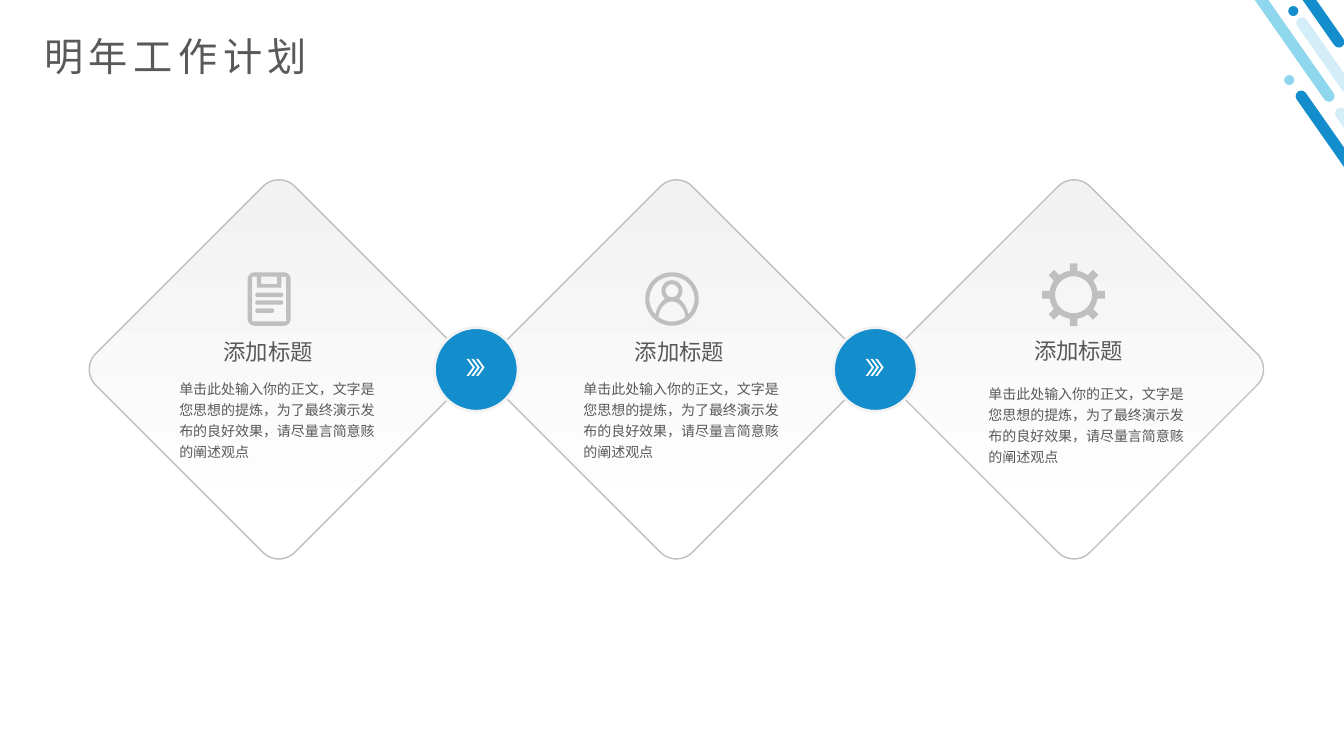
import math
from dataclasses import dataclass

from pptx import Presentation
from pptx import util as u
from pptx.dml import color
from pptx.enum import shapes, text
from pptx.oxml import ns


@dataclass(frozen=True)
class Theme:
    font: str = "Noto Sans CJK SC"
    ink: str = "595959"
    blue: str = "138DCC"
    sky: str = "8FD7ED"
    ice: str = "D3EEF9"
    gray: str = "BFBFBF"
    mist: str = "F2F2F2"
    white: str = "FFFFFF"
    title: int = 28
    heading: int = 16
    body: int = 10


THEME = Theme()
PRESET = shapes.MSO_SHAPE
HEADING = "添加标题"
BODY = "单击此处输入你的正文，文字是您思想的提炼，为了最终演示发布的良好效果，请尽量言简意赅的阐述观点"
UNITS_PER_POINT = 100


def rgb(value):
    return color.RGBColor.from_string(value)


def paint(shape, fill):
    shape.shadow.inherit = False
    shape.fill.solid()
    shape.fill.fore_color.rgb = rgb(fill)
    shape.line.fill.background()


def add_preset(slide, kind, left, top, width, height, fill):
    shape = slide.shapes.add_shape(kind, u.Pt(left), u.Pt(top), u.Pt(width), u.Pt(height))
    paint(shape, fill)
    return shape


def add_stripe(slide, left, top, height, fill):
    stripe = add_preset(slide, PRESET.ROUNDED_RECTANGLE, left, top, 8, height, fill)
    stripe.adjustments[0] = 0.5
    stripe.rotation = 325


def add_diamond(slide, left):
    diamond = add_preset(slide, PRESET.ROUNDED_RECTANGLE, left, 163.4, 200.9, 200.9, THEME.mist)
    diamond.adjustments[0] = 0.08
    diamond.rotation = 45
    diamond.fill.gradient()
    diamond.fill.gradient_angle = 315
    stops = ((0.03, THEME.mist), (0.91, THEME.white))
    for stop, (position, value) in zip(diamond.fill.gradient_stops, stops):
        stop.position = position
        stop.color.rgb = rgb(value)
    diamond.line.color.rgb = rgb(THEME.gray)
    diamond.line.width = u.Pt(1)


def add_text(slide, words, left, top, width, height, size,
             wrap=True, middle=True, line_spacing=None, tracking=0):
    box = slide.shapes.add_textbox(u.Pt(left), u.Pt(top), u.Pt(width), u.Pt(height))
    frame = box.text_frame
    frame.text = words
    frame.word_wrap = wrap
    frame.vertical_anchor = text.MSO_ANCHOR.MIDDLE if middle else text.MSO_ANCHOR.TOP
    paragraph = frame.paragraphs[0]
    if line_spacing:
        paragraph.line_spacing = line_spacing
    run = paragraph.runs[0]
    run.font.size = u.Pt(size)
    run.font.name = THEME.font
    run.font.color.rgb = rgb(THEME.ink)
    properties = run.font._element
    east_asian = properties.makeelement(ns.qn("a:ea"), {"typeface": THEME.font})
    properties.find(ns.qn("a:latin")).addnext(east_asian)
    if tracking:
        properties.set("spc", str(tracking * 100))


def add_outline(slide, left, top, contours, fill):
    scaled = [[(x * UNITS_PER_POINT, y * UNITS_PER_POINT) for x, y in contour]
              for contour in contours]
    builder = slide.shapes.build_freeform(*scaled[0][0], scale=u.Pt(1) / UNITS_PER_POINT)
    builder.add_line_segments(scaled[0][1:], close=True)
    for contour in scaled[1:]:
        builder.move_to(*contour[0])
        builder.add_line_segments(contour[1:], close=True)
    paint(builder.convert_to_shape(u.Pt(left), u.Pt(top)), fill)


def arc(x, y, radius, start=0, end=360):
    steps = max(4, round(abs(end - start) / 6))
    angles = [math.radians(start + (end - start) * i / steps) for i in range(steps + 1)]
    return [(x + radius * math.cos(a), y + radius * math.sin(a)) for a in angles]


def curve(*controls):
    weights = (1, 3, 3, 1)
    return [tuple(sum(w * (1 - t) ** (3 - k) * t ** k * point[axis]
                      for k, (w, point) in enumerate(zip(weights, controls)))
                  for axis in (0, 1))
            for t in (i / 10 for i in range(11))]


def rounded(x, y, width, height, radius):
    right, bottom = x + width - radius, y + height - radius
    return (arc(x + radius, y + radius, radius, 180, 270)
            + arc(right, y + radius, radius, 270, 360)
            + arc(right, bottom, radius, 0, 90)
            + arc(x + radius, bottom, radius, 90, 180))


def clipboard_icon():
    page = [(3.2, 3.2), (6.6, 3.2), (6.6, 11), (24.1, 11),
            (24.1, 3.2), (27.5, 3.2), (27.5, 35), (3.2, 35)]
    clip = [(9.7, 3.2), (21.1, 3.2), (21.1, 8.3), (9.7, 8.3)]
    bars = [rounded(5.5, y, width, 3.2, 1.6)
            for y, width in ((14.5, 20), (20, 20), (25.8, 13.4))]
    return [rounded(0, 0, 30.7, 38.2, 5), page, clip, *bars]


def person_icon():
    middle = 19.1

    def mirror(points):
        return [(2 * middle - x, y) for x, y in reversed(points)]

    shoulder = curve((7.3, 30.1), (7.9, 25.9), (11.5, 20.2), (14.4, 18.8))
    backdrop = (arc(middle, middle, 16.1, 43, -223) + shoulder
                + arc(middle, 13.2, 7.5, 130, 410) + mirror(shoulder))
    side = curve((9.6, 32.1), (9.6, 26.6), (14, 20.9), (middle, 20.9))
    torso = arc(middle, middle, 16.1, 54, 126) + side + mirror(side)
    return [arc(middle, middle, middle), backdrop, torso, arc(middle, 13.2, 4.6)]


def gear_icon():
    center, body, tip, half_tooth = 22.4, 17.3, 22.4, 2.7
    spread = math.degrees(math.asin(half_tooth / body))
    rim = []
    for angle in range(0, 360, 45):
        cosine, sine = math.cos(math.radians(angle)), math.sin(math.radians(angle))
        rim += [(center + tip * cosine - offset * sine, center + tip * sine + offset * cosine)
                for offset in (-half_tooth, half_tooth)]
        rim += arc(center, center, body, angle + spread, angle + 45 - spread)
    return [rim, arc(center, center, 13.2)]


def add_arrow_badge(slide, left):
    badge = add_preset(slide, PRESET.OVAL, left, 234, 59.8, 59.8, THEME.blue)
    badge.line.color.rgb = rgb(THEME.mist)
    badge.line.width = u.Pt(2)
    chevron = [(6, 6.1), (1.6, 12.2), (0, 12.2), (4.4, 6.1), (0, 0), (1.6, 0)]
    for i in range(3):
        add_outline(slide, left + 23 + 3.4 * i, 256.4, [chevron], THEME.white)


def add_corner_decoration(slide):
    for left, top, height, fill in (
        (968.4, 51.1, 157.7, THEME.blue),
        (996.5, 63.4, 157.7, THEME.ice),
        (890.6, -108.7, 198.7, THEME.sky),
        (980.6, -5, 198.7, THEME.ice),
        (909.4, -110.2, 157.7, THEME.blue),
    ):
        add_stripe(slide, left, top, height, fill)
    for left, top, fill in ((917.3, 53.6, THEME.sky), (920.2, 4.3, THEME.blue)):
        add_preset(slide, PRESET.OVAL, left, top, 7.2, 7.2, fill)


def main():
    presentation = Presentation()
    presentation.slide_width, presentation.slide_height = u.Pt(960), u.Pt(540)
    slide = presentation.slides.add_slide(presentation.slide_layouts[6])
    add_corner_decoration(slide)
    add_text(slide, "明年工作计划", 24.5, 19.4, 937.4, 41, THEME.title, tracking=4)
    for i in range(3):
        add_diamond(slide, 98.7 + 284 * i)
    for left in (310.3, 595.4):
        add_arrow_badge(slide, left)
    for heading_left, heading_top, body_left, body_top in (
        (152.6, 237.8, 121, 265.7),
        (446.4, 237.8, 409.7, 265.7),
        (731.5, 236.8, 699, 269.3),
    ):
        add_text(slide, HEADING, heading_left, heading_top, 78.5, 26.6, THEME.heading, wrap=False)
        add_text(slide, BODY, body_left, body_top, 156.2, 77, THEME.body,
                 middle=False, line_spacing=1.24)
    for left, top, icon in (
        (176.9, 194.5, clipboard_icon()),
        (460.9, 194.5, person_icon()),
        (744.5, 188.2, gear_icon()),
    ):
        add_outline(slide, left, top, icon, THEME.gray)
    presentation.save("out.pptx")


if __name__ == "__main__":
    main()
